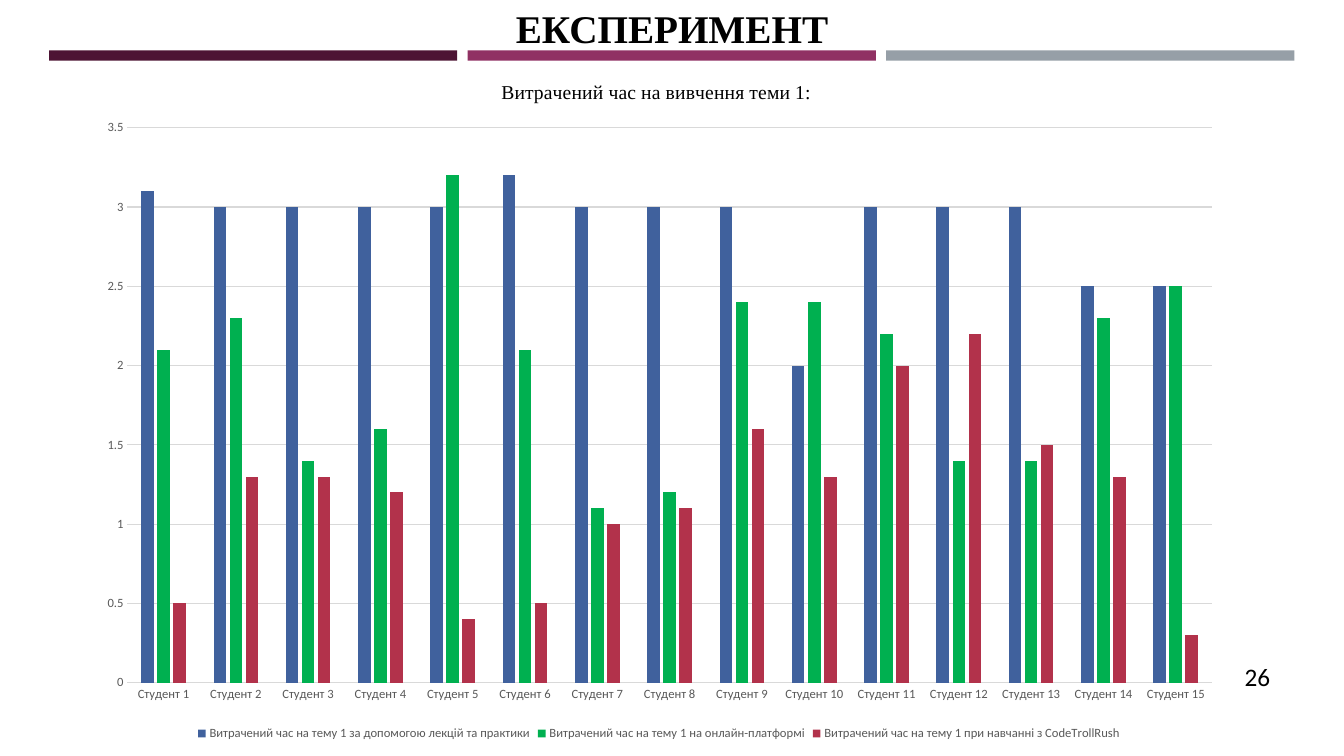
from lxml import etree
from pptx import Presentation
from pptx import util as u
from pptx.chart.data import CategoryChartData
from pptx.dml.color import RGBColor
from pptx.enum import chart as ch, shapes, text
from pptx.oxml import parse_xml
from pptx.oxml.ns import nsdecls

Pt = u.Pt


def paint(target, color):
    target.solid()
    target.fore_color.rgb = RGBColor.from_string(color)


def style(font, size, color="000000", name="Calibri", bold=False):
    font.size, font.name, font.bold = Pt(size), name, bold
    font.color.rgb = RGBColor.from_string(color)


deck = Presentation()
deck.slide_width, deck.slide_height = Pt(960), Pt(540)
page = deck.slides.add_slide(deck.slide_layouts[5])

# Three header bars
for index, color in enumerate(("4D1434", "903163", "969FA7")):
    bar = page.shapes.add_shape(shapes.MSO_SHAPE.RECTANGLE,
                                Pt(35 + 299 * index), Pt(36), Pt(291.6), Pt(7.4))
    bar.shadow.inherit = False
    paint(bar.fill, color)
    bar.line.fill.background()

# Title and page number
title = page.shapes.title
title.left, title.top, title.width, title.height = Pt(46), Pt(-39.6), Pt(868), Pt(80)
number = page.shapes.add_textbox(Pt(831.6), Pt(468.7), Pt(82.8), Pt(28.8))
for box, words, align, anchor in (
        (title, "ЕКСПЕРИМЕНТ", text.PP_ALIGN.CENTER, text.MSO_ANCHOR.BOTTOM),
        (number, "26", text.PP_ALIGN.RIGHT, text.MSO_ANCHOR.MIDDLE)):
    frame = box.text_frame
    frame.text = words
    frame.word_wrap = True
    frame.auto_size = text.MSO_AUTO_SIZE.NONE
    frame.vertical_anchor = anchor
    frame.paragraphs[0].alignment = align
style(title.text_frame.paragraphs[0].runs[0].font, 28, name="Times New Roman", bold=True)
style(number.text_frame.paragraphs[0].runs[0].font, 18)

# Study time per student
series_rows = [
    ("Витрачений час на тему 1 за допомогою лекцій та практики", "40619D",
     (3.1, 3, 3, 3, 3, 3.2, 3, 3, 3, 2, 3, 3, 3, 2.5, 2.5)),
    ("Витрачений час на тему 1 на онлайн-платформі", "00B050",
     (2.1, 2.3, 1.4, 1.6, 3.2, 2.1, 1.1, 1.2, 2.4, 2.4, 2.2, 1.4, 1.4, 2.3, 2.5)),
    ("Витрачений час на тему 1 при навчанні з CodeTrollRush", "B2324B",
     (0.5, 1.3, 1.3, 1.2, 0.4, 0.5, 1, 1.1, 1.6, 1.3, 2, 2.2, 1.5, 1.3, 0.3)),
]
data = CategoryChartData()
data.categories = [f"Студент {n}" for n in range(1, 16)]
for name, color, values in series_rows:
    data.add_series(name, values)
chart = page.shapes.add_chart(ch.XL_CHART_TYPE.COLUMN_CLUSTERED,
                              Pt(59.8), Pt(39.6), Pt(821.5), Pt(492.5), data).chart
style(chart.font, 10)

# Columns
plot = chart.plots[0]
plot.gap_width, plot.overlap, plot.vary_by_categories = 219, -27, False
for series, (name, color, values) in zip(plot.series, series_rows):
    paint(series.format.fill, color)
    series.invert_if_negative = False

# Axes
for axis in (chart.category_axis, chart.value_axis):
    axis.major_tick_mark = axis.minor_tick_mark = ch.XL_TICK_MARK.NONE
    style(axis.tick_labels.font, 9, "595959")
values_axis = chart.value_axis
values_axis.minimum_scale, values_axis.maximum_scale, values_axis.major_unit = 0, 3.5, 0.5
values_axis.tick_labels.number_format = "General"
values_axis.tick_labels.number_format_is_linked = False
values_axis.format.line.fill.background()
for line in (chart.category_axis.format.line, values_axis.major_gridlines.format.line):
    paint(line.fill, "D9D9D9")
    line.width = Pt(0.75)

# Legend and chart title
chart.has_legend = True
chart.legend.position = ch.XL_LEGEND_POSITION.BOTTOM
chart.legend.include_in_layout = False
style(chart.legend.font, 9, "595959")
chart.has_title = True
heading = chart.chart_title.text_frame
heading.text = "Витрачений час на вивчення теми 1:"
style(heading.paragraphs[0].runs[0].font, 14, name="Times New Roman")
chart.chart_title.include_in_layout = False

# Fixed places of the chart title and the plot area, as shares of the chart
heading_place = {"xMode": "edge", "yMode": "edge", "x": 0.36, "y": 0.03}
plot_place = {"layoutTarget": "inner", "xMode": "edge", "yMode": "edge",
              "x": 0.038, "y": 0.105, "w": 0.943, "h": 0.805}
chart_xml = plot._element.getparent().getparent()
for tag, place in (("title", heading_place), ("plotArea", plot_place)):
    parent = chart_xml.find("{*}" + tag)
    for old in parent.findall("{*}layout"):
        parent.remove(old)
    items = "".join(f'<c:{key} val="{value}"/>' for key, value in place.items())
    layout = parse_xml(f'<c:layout {nsdecls("c")}><c:manualLayout>{items}'
                       '</c:manualLayout></c:layout>')
    parent.insert(1 if tag == "title" else 0, layout)

deck.save("out.pptx")
